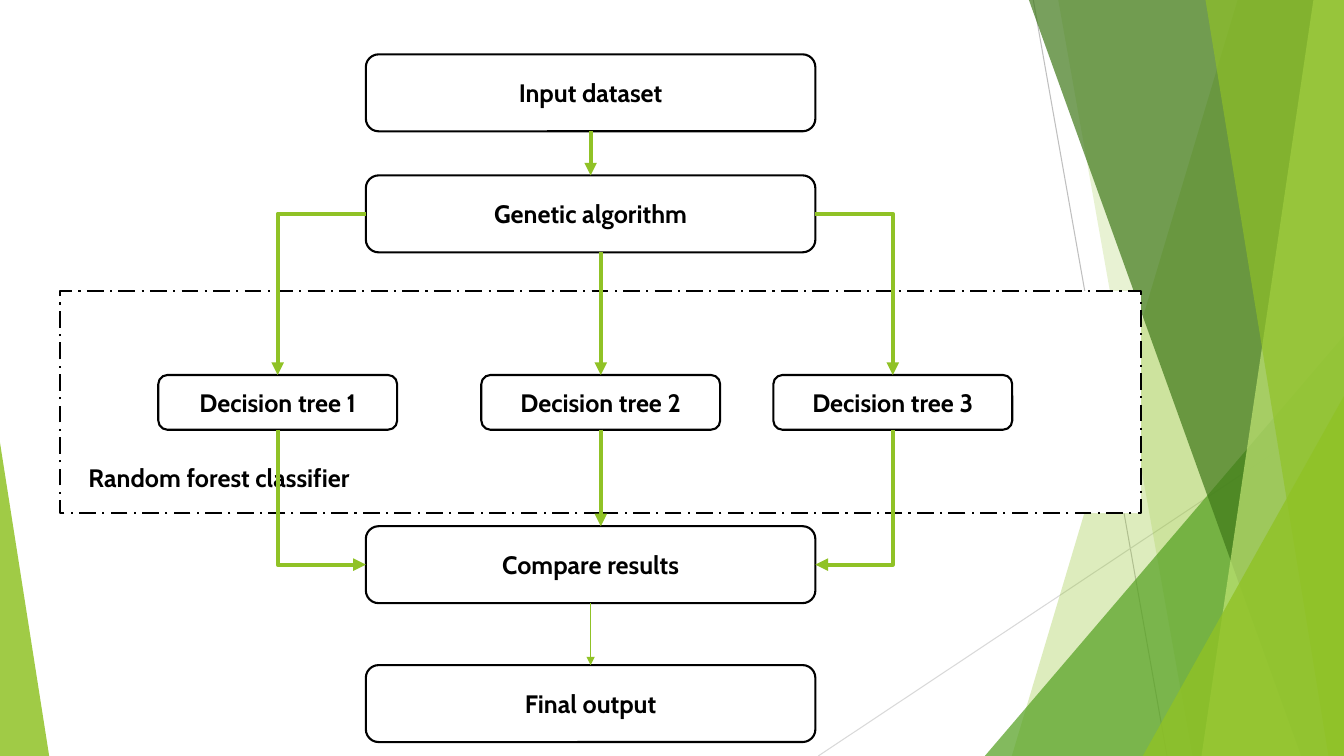
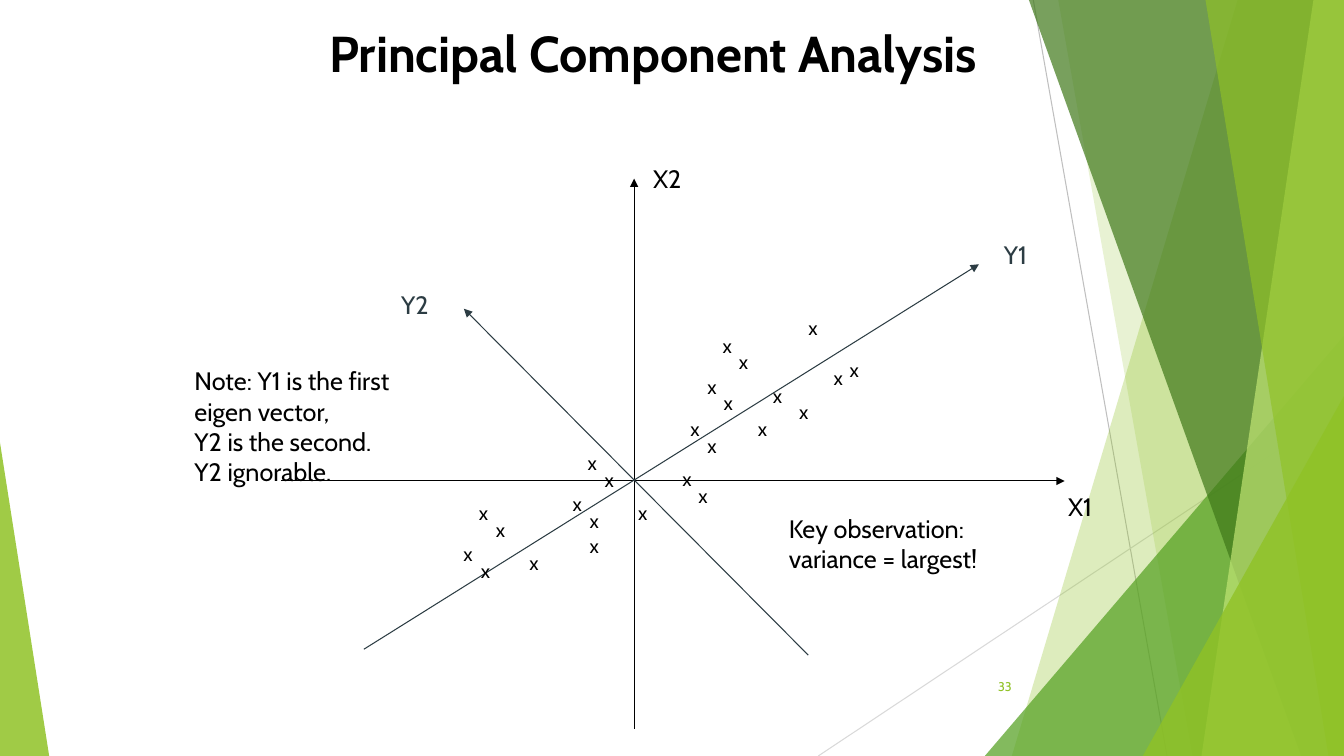
from lxml import etree
from pptx import Presentation
from pptx.dml.color import RGBColor
from pptx.enum.dml import MSO_LINE
from pptx.enum.shapes import MSO_CONNECTOR, MSO_SHAPE
from pptx.enum.text import MSO_ANCHOR, PP_ALIGN
from pptx.oxml.ns import qn
from pptx.util import Cm, Pt

RECT, ROUND, WEDGE = MSO_SHAPE.RECTANGLE, MSO_SHAPE.ROUNDED_RECTANGLE, MSO_SHAPE.ISOSCELES_TRIANGLE
STRAIGHT, ELBOW = MSO_CONNECTOR.STRAIGHT, MSO_CONNECTOR.ELBOW
LEFT, CENTER, RIGHT = PP_ALIGN.LEFT, PP_ALIGN.CENTER, PP_ALIGN.RIGHT
TOP, MIDDLE = MSO_ANCHOR.TOP, MSO_ANCHOR.MIDDLE
DASH = MSO_LINE.LONG_DASH_DOT
WIDE, HIGH = 33.87, 19.05
FONT = "Cabin"
BLACK, WHITE, SLATE = "000000", "FFFFFF", "2C3C43"
LIME, LEAF, MOSS, PALE = "90C226", "54A021", "3F7819", "C0E474"
MARKS = [
    (2.36, -3.42), (2.77, -3.01), (1.98, -2.37), (3.63, -2.15), (5.16, -2.6),
    (4.52, -3.87), (2.39, -1.97), (1.55, -1.33), (1.98, -0.9), (1.35, -0.06),
    (-3.78, 0.8), (-3.35, 1.23), (-4.17, 1.84), (-2.51, 2.07), (-0.99, 1.64),
    (-3.73, 2.27), (-1.04, -0.47), (-0.61, -0.04), (-1.42, 0.57), (0.23, 0.8),
    (1.75, 0.37), (-0.99, 1), (4.29, -1.74), (5.56, -2.81), (3.25, -1.33),
]
AXES = [
    ("X2", BLACK, (0, 6.25), (0, -7.62), (0.23, -8.13)),
    ("X1", BLACK, (-8.89, 0), (10.85, 0), (10.69, 0.13)),
    ("Y1", SLATE, (-6.81, 4.24), (8.69, -5.46), (9.07, -6.22)),
    ("Y2", SLATE, (4.39, 4.39), (-4.29, -4.34), (-6.12, -4.95)),
]


def paint(hue):
    """Turn a hex string into a colour."""
    return RGBColor.from_string(hue)


def write(frame, text, size=18, hue=BLACK, bold=False, align=LEFT, anchor=TOP, wrap=True):
    """Fill a text frame with evenly styled paragraphs."""
    frame.text = text
    frame.word_wrap = wrap
    frame.vertical_anchor = anchor
    for para in frame.paragraphs:
        para.alignment = align
        font = para.font
        font.name, font.size, font.bold = FONT, Pt(size), bold
        font.color.rgb = paint(hue)


def label(slide, text, x, y, w, h, **style):
    """Add a text box."""
    box = slide.shapes.add_textbox(Cm(x), Cm(y), Cm(w), Cm(h))
    write(box.text_frame, text, **style)


def link(slide, start, end, hue, width, head=None, kind=STRAIGHT):
    """Join two points, with an arrow at headEnd or tailEnd if named."""
    line = slide.shapes.add_connector(kind, *map(Cm, start + end))
    line.line.color.rgb = paint(hue)
    line.line.width = Pt(width)
    props = line._element.spPr
    if kind == ELBOW:
        props.find(qn("a:prstGeom")).set("prst", "bentConnector2")
    if head:
        etree.SubElement(props.find(qn("a:ln")), qn("a:" + head), type="triangle")
    etree.SubElement(props, qn("a:effectLst"))
    return line


def card(slide, kind, x, y, w, h, text=""):
    """Add a white outlined box, with bold centred text if given."""
    box = slide.shapes.add_shape(kind, Cm(x), Cm(y), Cm(w), Cm(h))
    box.shadow.inherit = False
    box.fill.solid()
    box.fill.fore_color.rgb = paint(WHITE)
    box.line.color.rgb = paint(BLACK)
    box.line.width = Pt(1.5)
    if text:
        write(box.text_frame, text, bold=True, align=CENTER, anchor=MIDDLE)
    return box


def tint(shape, hue, alpha):
    """Give a shape a see-through fill and no outline."""
    shape.shadow.inherit = False
    shape.line.fill.background()
    shape.fill.solid()
    shape.fill.fore_color.rgb = paint(hue)
    tone = shape._element.spPr.find(qn("a:solidFill"))[0]
    etree.SubElement(tone, qn("a:alpha"), val=str(alpha * 1000))
    return shape


def blade(slide, top, foot, hue, alpha):
    """Fill the area right of a slanted edge."""
    edge = slide.shapes.build_freeform(Cm(top), 0, scale=1.0)
    corners = [(WIDE, 0), (WIDE, HIGH), (foot, HIGH)]
    edge.add_line_segments([(Cm(x), Cm(y)) for x, y in corners])
    return tint(edge.convert_to_shape(), hue, alpha)


def wedge(slide, x, y, w, hue, alpha, peak=1):
    """Stand a right-angled triangle on the foot of the slide."""
    shape = slide.shapes.add_shape(WEDGE, Cm(x), Cm(y), Cm(w), Cm(HIGH - y))
    shape.adjustments[0] = peak
    return tint(shape, hue, alpha)


def backdrop(slide, layout):
    """Draw the green facets and move them to the shared layout."""
    parts = [
        link(slide, (26.04, 0), (29.41, HIGH), "BFBFBF", 0.75),
        link(slide, (WIDE, 10.24), (20.62, HIGH), "D9D9D9", 0.75),
        blade(slide, 31.19, 25.5, LIME, 30),
        blade(slide, 26.67, 30.05, LIME, 20),
        wedge(slide, 24.82, 8.46, WIDE - 24.82, LEAF, 72),
        blade(slide, 25.93, 32.79, MOSS, 70),
        blade(slide, 33.1, 30.28, PALE, 70),
        blade(slide, 30.38, 33.48, LIME, 65),
        wedge(slide, 28.8, 9.98, WIDE - 28.8, LIME, 80),
        wedge(slide, 0, 11.15, 1.24, LIME, 85, peak=0),
    ]
    for part in parts:
        layout.shapes._spTree.append(part._element)


def flow(slide, x, y, w):
    """Draw the random forest flow chart below its top left corner."""
    left, wide, high = x + 7.7, 11.33, 1.94
    right, mid = left + wide, left + wide / 2
    data, gene, comp, final = y, y + 3.05, y + 11.89, y + 15.39
    tree, span, tall = y + 8.08, 6.02, 1.38
    base = tree + tall
    spots = [x + 5.48, x + 13.62, x + 20.98]
    card(slide, RECT, x, y + 5.97, w, 5.59).line.dash_style = DASH
    steps = ["Input dataset", "Genetic algorithm", "Compare results", "Final output"]
    for text, top in zip(steps, [data, gene, comp, final]):
        card(slide, ROUND, left, top, wide, high, text)
    for num, spot in enumerate(spots, 1):
        card(slide, ROUND, spot - span / 2, tree, span, tall, f"Decision tree {num}")
    label(slide, "Random forest classifier", x + 0.46, y + 10.16, 8.05, 1.02, bold=True)
    for side, spot in [(left, spots[0]), (right, spots[2])]:
        link(slide, (side, gene + high / 2), (spot, tree), LIME, 3, "tailEnd", ELBOW)
        link(slide, (side, comp + high / 2), (spot, base), LIME, 3, "headEnd", ELBOW)
    for spot, top, foot, width in [
        (mid, data + high, gene, 3),
        (spots[1], gene + high, tree, 3),
        (spots[1], base, comp, 3),
        (mid, comp + high, final, 1),
    ]:
        link(slide, (spot, top), (spot, foot), LIME, width, "tailEnd")


def plot(slide, x, y):
    """Draw the axes, their names and the marks around an origin."""
    for name, hue, start, end, spot in AXES:
        ends = [(x + dx, y + dy) for dx, dy in (start, end)]
        link(slide, *ends, hue, 0.75, "tailEnd")
        label(slide, name, x + spot[0], y + spot[1], 1.27, 1.02, hue=hue, wrap=False)
    w, h = 0.76, 0.84
    for dx, dy in MARKS:
        label(slide, "x", x + dx - w / 2, y + dy - h / 2, w, h, size=14, wrap=False)


def notes(slide, x, y):
    """Add the title, remarks and page number from the title's corner."""
    label(slide, "Principal Component Analysis", x, y, 18.62, 4.11, size=36, bold=True)
    label(slide, "Note: Y1 is the first eigen vector, \vY2 is the second. Y2 ignorable.",
          x - 3.4, y + 8.66, 5.51, 3.33)
    label(slide, "Key observation:\nvariance = largest!", x + 11.58, y + 12.37, 5.84, 1.8)
    label(slide, "33", x + 15.8, y + 16.36, 1.9, 1.02,
          size=9, hue=LIME, align=RIGHT, anchor=MIDDLE)


def main():
    """Build and save the deck."""
    deck = Presentation()
    deck.slide_width, deck.slide_height = Cm(WIDE), Cm(HIGH)
    layout = deck.slide_layouts[6]
    forest, parts = [deck.slides.add_slide(layout) for _ in range(2)]
    backdrop(forest, layout)
    flow(forest, 1.52, 1.37, 27.23)
    notes(parts, 8.05, 0.43)
    plot(parts, 15.98, 12.12)
    deck.save("out.pptx")


main()
